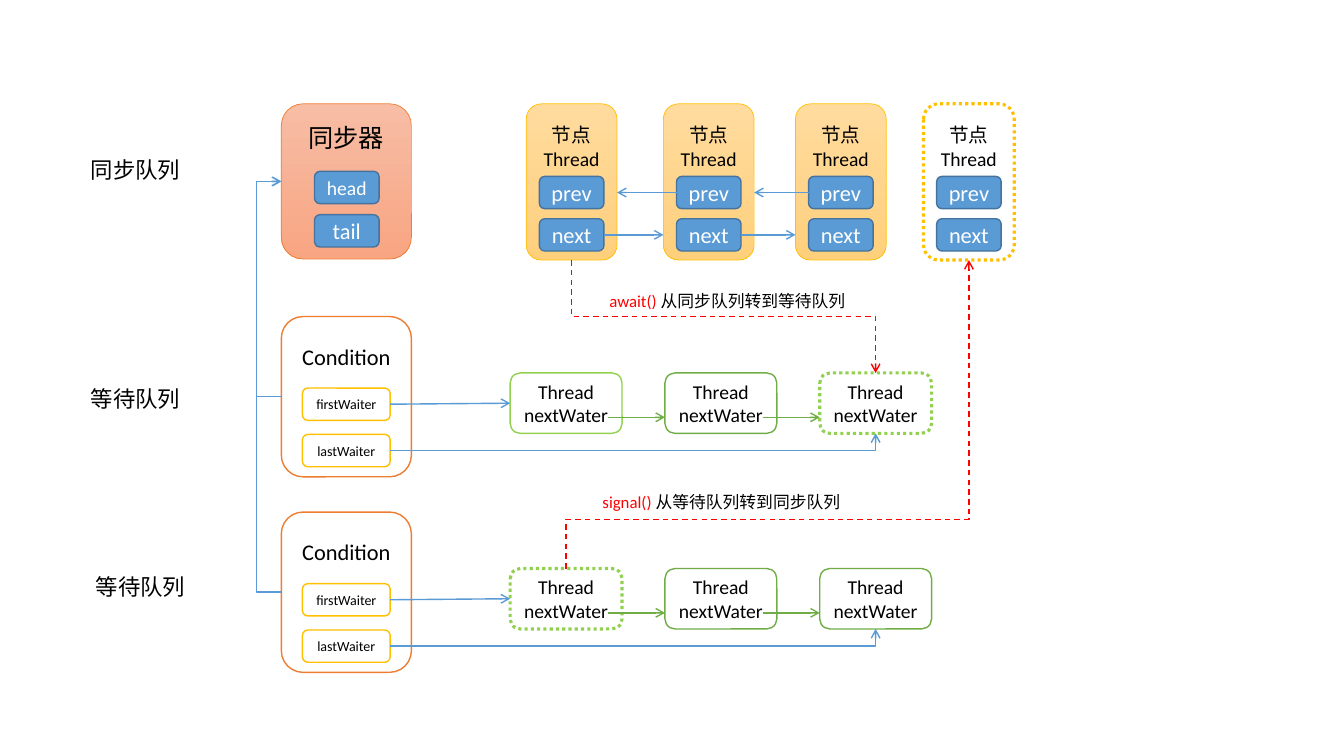
from collections import namedtuple
from dataclasses import dataclass
from itertools import pairwise

from lxml.etree import SubElement
from pptx import Presentation
from pptx.dml.color import RGBColor
from pptx.enum.dml import MSO_LINE
from pptx.enum.shapes import MSO_CONNECTOR, MSO_SHAPE
from pptx.enum.text import MSO_ANCHOR, PP_ALIGN
from pptx.oxml.ns import qn
from pptx.util import Inches, Pt

Outline = namedtuple("Outline", "color width dash", defaults=(1, None))
TOP, LEFT, BOTTOM, RIGHT = range(4)
RIGHTWARD, LEFTWARD, DOWNWARD, UPWARD = (1, 0), (-1, 0), (0, 1), (0, -1)
ROTATION = {RIGHTWARD: 0, DOWNWARD: 90, LEFTWARD: 180, UPWARD: 270}


@dataclass(frozen=True)
class Theme:
    font: str = "Calibri"
    black: str = "000000"
    white: str = "FFFFFF"
    red: str = "FF0000"
    blue: str = "5B9BD5"
    blue_edge: str = "43739E"
    orange: str = "ED7D31"
    gold: str = "FFC000"
    green: str = "70AD47"
    lime: str = "92D050"
    peach_gradient: tuple = ("F7BDA5", "F8A582")
    gold_gradient: tuple = ("FFDB9E", "FFD07C")
    heading: int = 18
    label: int = 16
    body: int = 14
    note: int = 12
    small: int = 10


THEME = Theme()
FLOW = Outline(THEME.blue)
TRANSFER = Outline(THEME.red, 1, MSO_LINE.DASH)
WAITING = Outline(THEME.green)
FIRST_WAITING = Outline(THEME.lime)
MOVING = Outline(THEME.lime, 2.25, MSO_LINE.ROUND_DOT)


def write(shape, *lines, size, color=THEME.black, lead="", anchor=MSO_ANCHOR.MIDDLE):
    """Fill a shape with centred lines; lead is a red run before the first line."""
    frame = shape.text_frame
    frame.word_wrap = True
    frame.vertical_anchor = anchor
    for index, line in enumerate(lines):
        paragraph = frame.add_paragraph() if index else frame.paragraphs[0]
        paragraph.alignment = PP_ALIGN.CENTER
        runs = [(line, color)]
        if lead and not index:
            runs.insert(0, (lead, THEME.red))
        for text, run_color in runs:
            run = paragraph.add_run()
            run.text = text
            run.font.name = THEME.font
            run.font.size = Pt(size)
            run.font.color.rgb = RGBColor.from_string(run_color)


def style_line(line, outline):
    line.color.rgb = RGBColor.from_string(outline.color)
    line.width = Pt(outline.width)
    if outline.dash:
        line.dash_style = outline.dash


def add_box(shapes, left, top, width, height, *lines, fill=THEME.white, outline,
            size, color=THEME.black, heading_inset=None):
    """Draw a rounded box; heading_inset puts its text that far from the top."""
    box = shapes.add_shape(MSO_SHAPE.ROUNDED_RECTANGLE, Inches(left), Inches(top),
                           Inches(width), Inches(height))
    box.shadow.inherit = False
    if isinstance(fill, tuple):
        box.fill.gradient()
        box.fill.gradient_angle = 270
        for stop, stop_color in zip(box.fill.gradient_stops, fill):
            stop.color.rgb = RGBColor.from_string(stop_color)
    else:
        box.fill.solid()
        box.fill.fore_color.rgb = RGBColor.from_string(fill)
    style_line(box.line, outline)
    frame = box.text_frame
    frame.margin_left = frame.margin_right = frame.margin_bottom = 0
    frame.margin_top = Inches(heading_inset or 0)
    write(box, *lines, size=size, color=color,
          anchor=MSO_ANCHOR.TOP if heading_inset else MSO_ANCHOR.MIDDLE)
    return box


def add_field(shapes, left, top, text, size=THEME.label):
    return add_box(shapes, left, top, 0.64, 0.32, text, fill=THEME.blue,
                   outline=Outline(THEME.blue_edge), size=size, color=THEME.white)


def add_label(shapes, left, top, width, text, size=THEME.label, lead=""):
    label = shapes.add_textbox(Inches(left), Inches(top), Inches(width), Inches(0.37))
    write(label, text, size=size, lead=lead, anchor=MSO_ANCHOR.TOP)


def add_arrow(shapes, start, end, outline, kind=MSO_CONNECTOR.STRAIGHT):
    connector = shapes.add_connector(kind, *map(Inches, start + end))
    style_line(connector.line, outline)
    properties = connector._element.spPr
    SubElement(properties.find(qn("a:ln")), qn("a:tailEnd"), type="arrow")
    SubElement(properties, qn("a:effectLst"))
    return connector


def add_elbow(shapes, start, end, heading, outline, bend=None):
    """Leave start along heading; bend is the share of that way before turning.

    Without a bend the connector has a single corner.
    """
    connector = add_arrow(shapes, start, end, outline, MSO_CONNECTOR.ELBOW)
    across, down = end[0] - start[0], end[1] - start[1]
    along = across * heading[0] + down * heading[1]
    aside = down * heading[0] - across * heading[1]
    width, height = abs(along), abs(aside)
    connector.left = Inches((start[0] + end[0] - width) / 2)
    connector.top = Inches((start[1] + end[1] - height) / 2)
    connector.width, connector.height = Inches(width), Inches(height)
    properties = connector._element.spPr
    transform = properties.find(qn("a:xfrm"))
    transform.attrib.pop("flipH", None)
    transform.set("flipV", "1" if aside < 0 else "0")
    transform.set("rot", str(ROTATION[heading] * 60000))
    geometry = properties.find(qn("a:prstGeom"))
    if bend is None:
        geometry.set("prst", "bentConnector2")
    else:
        SubElement(geometry.find(qn("a:avLst")), qn("a:gd"), name="adj1",
                   fmla=f"val {round(bend * 100000)}")


def site(shape, side):
    """Middle of a side of a shape, in inches."""
    x, y = ((0.5, 0), (0, 0.5), (0.5, 1), (1, 0.5))[side]
    return ((shape.left + shape.width * x) / Inches(1),
            (shape.top + shape.height * y) / Inches(1))


def add_synchronizer(shapes, left, top):
    box = add_box(shapes, left, top, 1.29, 1.54, "同步器", fill=THEME.peach_gradient,
                  outline=Outline(THEME.orange, 0.5), size=THEME.heading,
                  heading_inset=0.12)
    add_field(shapes, left + 0.33, top + 0.67, "head", THEME.body)
    add_field(shapes, left + 0.33, top + 1.1, "tail")
    return box


def add_node(shapes, left, top, fill, outline):
    node = add_box(shapes, left, top, 0.9, 1.55, "节点", "Thread", fill=fill,
                   outline=outline, size=THEME.body, heading_inset=0.15)
    previous_field = add_field(shapes, left + 0.13, top + 0.72, "prev")
    next_field = add_field(shapes, left + 0.13, top + 1.14, "next")
    return node, previous_field, next_field


def add_sync_queue(shapes, top):
    """Draw the linked nodes and the joining one; return the first and last."""
    nodes = [add_node(shapes, left, top, THEME.gold_gradient, Outline(THEME.gold, 0.5))
             for left in (5.22, 6.58, 7.89)]
    for (node, _, next_field), (following, previous_field, _) in pairwise(nodes):
        for field, side, target, target_side in (
                (next_field, RIGHT, following, LEFT),
                (previous_field, LEFT, node, RIGHT)):
            start = site(field, side)
            end = (site(target, target_side)[0], start[1])
            add_arrow(shapes, start, end, FLOW).begin_connect(field, side)
    joining = add_node(shapes, 9.16, top, THEME.white,
                       Outline(THEME.gold, 2.25, MSO_LINE.ROUND_DOT))
    return nodes[0][0], joining[0]


def add_wait_queue(shapes, left, top, outlines):
    """Draw a condition with its waiting threads; return it and the threads."""
    threads = [add_box(shapes, left + 2.27 + 1.535 * index, top + 0.56, 1.11, 0.6,
                       "Thread", "nextWater", outline=outline, size=THEME.body)
               for index, outline in enumerate(outlines)]
    for thread, following in pairwise(threads):
        start = (site(thread, LEFT)[0] + 0.97, top + 1)
        add_arrow(shapes, start, (site(following, LEFT)[0], top + 1), WAITING)
    condition = add_box(shapes, left, top, 1.29, 1.59, "Condition",
                        outline=Outline(THEME.orange), size=THEME.label,
                        heading_inset=0.2)
    first, last = [add_box(shapes, left + 0.21, top + offset, 0.87, 0.32, text,
                           outline=Outline(THEME.gold), size=THEME.small)
                   for offset, text in ((0.71, "firstWaiter"), (1.17, "lastWaiter"))]
    arrow = add_arrow(shapes, site(first, RIGHT), site(threads[0], LEFT), FLOW)
    arrow.begin_connect(first, RIGHT)
    arrow.end_connect(threads[0], LEFT)
    add_elbow(shapes, site(last, RIGHT), site(threads[-1], BOTTOM), RIGHTWARD, FLOW)
    return condition, threads


def main():
    presentation = Presentation()
    presentation.slide_width, presentation.slide_height = Inches(13.33), Inches(7.5)
    shapes = presentation.slides.add_slide(presentation.slide_layouts[6]).shapes
    synchronizer = add_synchronizer(shapes, 2.79, 1.03)
    first_node, joining_node = add_sync_queue(shapes, 1.03)
    upper, upper_threads = add_wait_queue(shapes, 2.79, 3.14,
                                          (FIRST_WAITING, WAITING, MOVING))
    lower, lower_threads = add_wait_queue(shapes, 2.79, 5.08,
                                          (MOVING, WAITING, WAITING))
    add_elbow(shapes, site(first_node, BOTTOM), site(upper_threads[-1], TOP),
              DOWNWARD, TRANSFER, bend=0.5)
    add_elbow(shapes, site(lower_threads[0], TOP), site(joining_node, BOTTOM),
              UPWARD, TRANSFER, bend=0.16)
    for left, top, text in ((0.61, 1.5, "同步队列"), (0.61, 3.77, "等待队列"),
                            (0.66, 5.64, "等待队列")):
        add_label(shapes, left, top, 1.47, text)
    add_label(shapes, 5.91, 2.84, 2.61, "从同步队列转到等待队列", THEME.note, "await() ")
    add_label(shapes, 5.71, 4.83, 2.89, "从等待队列转到同步队列", THEME.note, "signal() ")
    end = site(synchronizer, LEFT)
    for condition in (upper, lower):
        x, y = site(condition, LEFT)
        add_elbow(shapes, (x + 0.01, y), end, LEFTWARD, FLOW, bend=26)
    presentation.save("out.pptx")


if __name__ == "__main__":
    main()
